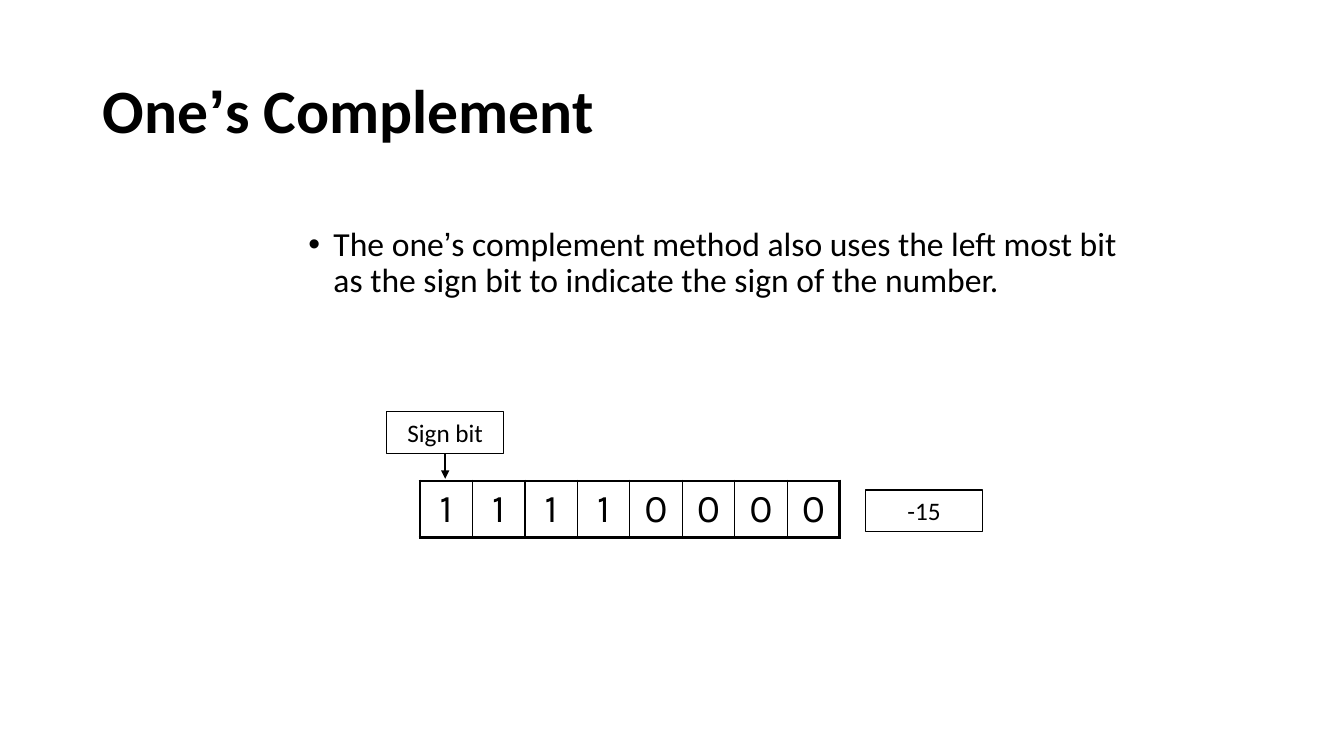
from lxml.etree import SubElement
from pptx import Presentation
from pptx.dml.color import RGBColor
from pptx.enum.shapes import MSO_CONNECTOR, MSO_SHAPE
from pptx.enum.text import MSO_ANCHOR, MSO_AUTO_SIZE, PP_ALIGN
from pptx.oxml import parse_xml
from pptx.oxml.ns import nsdecls, qn
from pptx.util import Pt

BLACK = RGBColor(0x00, 0x00, 0x00)


def add_run(paragraph, text, size, font="Calibri", bold=False):
    run = paragraph.add_run()
    run.text = text
    run.font.name = font
    run.font.size = Pt(size)
    run.font.bold = bold
    run.font.color.rgb = BLACK


def add_label(text, left, top):
    label = slide.shapes.add_shape(
        MSO_SHAPE.RECTANGLE, Pt(left), Pt(top), Pt(84), Pt(29.8))
    label.shadow.inherit = False
    label.fill.background()
    label.line.color.rgb = BLACK
    label.line.width = Pt(0.75)
    label.text_frame.vertical_anchor = MSO_ANCHOR.MIDDLE
    paragraph = label.text_frame.paragraphs[0]
    paragraph.alignment = PP_ALIGN.CENTER
    add_run(paragraph, text, 18)
    return label


prs = Presentation()
prs.slide_width, prs.slide_height = Pt(960), Pt(540)
slide = prs.slides.add_slide(prs.slide_layouts[1])

# Title
title = slide.shapes.title
title.left, title.top, title.width, title.height = Pt(66), Pt(28.8), Pt(828), Pt(104.4)
title.text_frame.vertical_anchor = MSO_ANCHOR.MIDDLE
title.text_frame.auto_size = MSO_AUTO_SIZE.NONE
heading = title.text_frame.paragraphs[0]
heading.alignment = PP_ALIGN.LEFT
heading.line_spacing = 0.9
for text, font in [("One", "Calibri"), ("’", "Arial"), ("s Complement", "Calibri")]:
    add_run(heading, text, 44, font, bold=True)

# Explanation
body = slide.placeholders[1]
body.left, body.top, body.width, body.height = Pt(213), Pt(159), Pt(612), Pt(99.4)
body.text_frame.auto_size = MSO_AUTO_SIZE.NONE
explanation = body.text_frame.paragraphs[0]
bullet_props = explanation._p.get_or_add_pPr()
bullet_props.set("marL", str(Pt(18)))
bullet_props.set("indent", str(-Pt(18)))
SubElement(bullet_props, qn("a:buFont")).set("typeface", "Arial")
SubElement(bullet_props, qn("a:buChar")).set("char", "•")
explanation.line_spacing = 0.9
explanation.space_before = Pt(0)
for text, font in [
    ("The one", "Calibri"),
    ("’", "Arial"),
    ("s complement method also uses the left most bit as the sign bit "
     "to indicate the sign of the number.", "Calibri"),
]:
    add_run(explanation, text, 24, font)

# Bit pattern
BITS = "11110000"
BIT_WIDTH = 37.5
bit_table = slide.shapes.add_table(
    1, len(BITS), Pt(300), Pt(343.6), Pt(BIT_WIDTH * len(BITS)), Pt(40.6)).table
bit_table.first_row = False
bit_table.horz_banding = False
for i, bit in enumerate(BITS):
    bit_table.columns[i].width = Pt(BIT_WIDTH)
    cell = bit_table.cell(0, i)
    cell.vertical_anchor = MSO_ANCHOR.MIDDLE
    cell.fill.background()
    digit = cell.text_frame.paragraphs[0]
    digit.alignment = PP_ALIGN.CENTER
    add_run(digit, bit, 28, "Karla")
    borders = {
        "lnL": 2.25 if i == 0 else 1,
        "lnR": 2.25 if i == len(BITS) - 1 else 1,
        "lnT": 2.25,
        "lnB": 2.25,
    }
    for position, (side, width) in enumerate(borders.items()):
        cell._tc.get_or_add_tcPr().insert(position, parse_xml(
            f'<a:{side} {nsdecls("a")} w="{Pt(width)}"><a:solidFill>'
            f'<a:srgbClr val="{BLACK}"/></a:solidFill></a:{side}>'))

# Labels
sign_bit = add_label("Sign bit", 276, 294)
add_label("-15", 618, 350)

# Arrow from the label to the sign bit
sign_arrow = slide.shapes.add_connector(
    MSO_CONNECTOR.STRAIGHT, Pt(318), Pt(323.8), Pt(318), Pt(342))
sign_arrow.begin_connect(sign_bit, 2)
sign_arrow.line.color.rgb = BLACK
sign_arrow.line.width = Pt(1.5)
SubElement(sign_arrow.line._get_or_add_ln(), qn("a:tailEnd")).set("type", "triangle")
SubElement(sign_arrow._element.spPr, qn("a:effectLst"))

prs.save("out.pptx")
